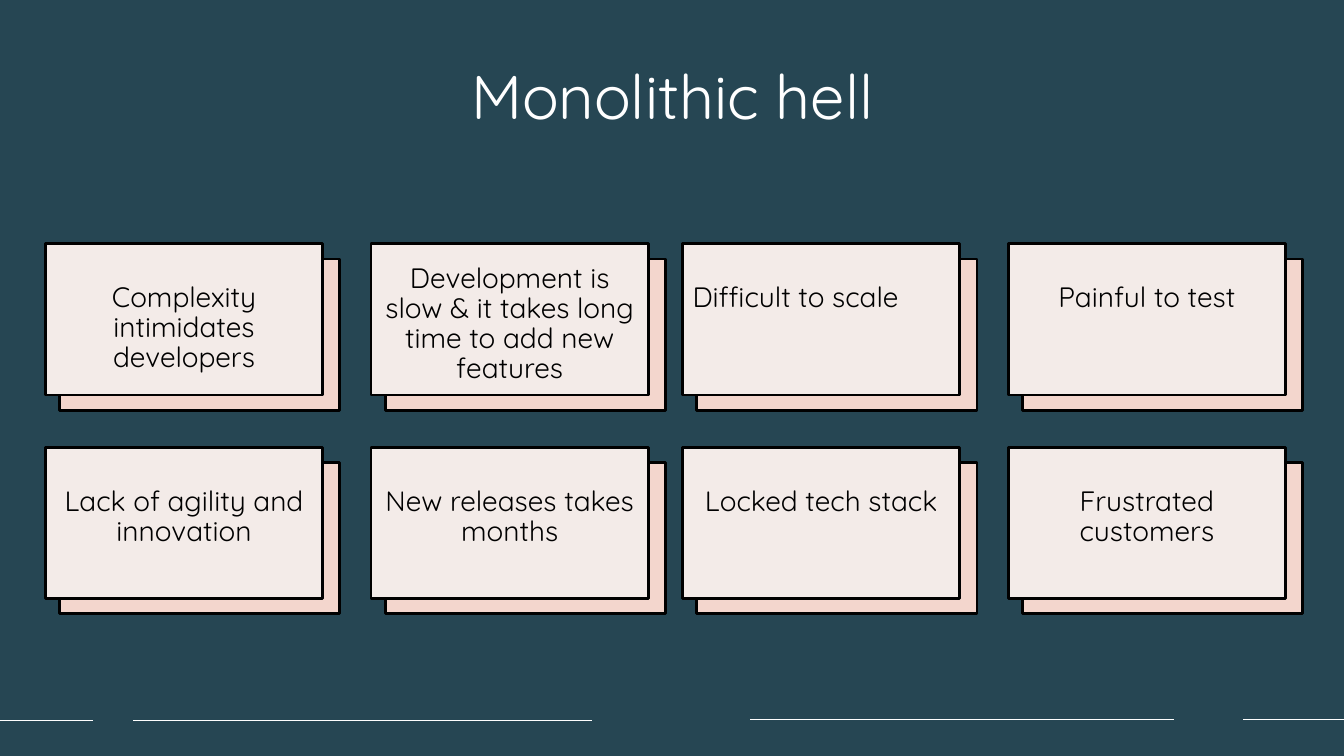
from pptx import Presentation
from pptx.dml.color import RGBColor
from pptx.enum.shapes import MSO_CONNECTOR, MSO_SHAPE
from pptx.enum.text import MSO_ANCHOR, PP_ALIGN
from pptx.oxml.ns import qn
from pptx.util import Inches, Pt
from lxml import etree

STRAIGHT, RECTANGLE = MSO_CONNECTOR.STRAIGHT, MSO_SHAPE.RECTANGLE
TOP, MIDDLE = MSO_ANCHOR.TOP, MSO_ANCHOR.MIDDLE
LEFT, CENTER = PP_ALIGN.LEFT, PP_ALIGN.CENTER

TITLE = "Monolithic hell"
PROBLEMS = [
    [("Complexity intimidates developers", CENTER, 0.39),
     ("Development is slow & it takes long time to add new features", CENTER, 0.2),
     ("Difficult to scale", LEFT, 0.39),
     ("Painful to test", CENTER, 0.39)],
    [("Lack of agility and innovation", CENTER, 0.39),
     ("New releases takes months", CENTER, 0.39),
     ("Locked tech stack", CENTER, 0.39),
     ("Frustrated customers", CENTER, 0.39)],
]
FOOTER_DASHES = [(0, 0.92, 7.15), (1.32, 5.87, 7.15),
                 (7.44, 11.64, 7.14), (12.33, 13.33, 7.14)]

THEME = {
    "font": "Quicksand", "title_size": 44, "card_size": 20,
    "background": "264653", "light": "FFFFFF", "dark": "000000",
    "card": "F3EBE8", "backing": "F3D6CD",
    "dash_width": 1, "border_width": 2,
}
COLUMN_LEFTS = [0.45, 3.68, 6.77, 10]
ROW_TOPS = [2.42, 4.44]
CARD_WIDTH, CARD_HEIGHT = 2.75, 1.5
BACKING_WIDTH = 2.78
BACKING_SHIFT = 0.14, 0.15


def color(name):
    return RGBColor.from_string(THEME[name])


def apply(target, values):
    for name, value in values.items():
        setattr(target, name, value)


def add_dash(page, start, end, height):
    dash = page.shapes.add_connector(
        STRAIGHT, Inches(start), Inches(height), Inches(end), Inches(height))
    dash.line.color.rgb = color("light")
    dash.line.width = Pt(THEME["dash_width"])
    etree.SubElement(dash._element.spPr, qn("a:effectLst"))


def add_panel(page, left, top, width, fill):
    panel = page.shapes.add_shape(
        RECTANGLE, Inches(left), Inches(top), Inches(width), Inches(CARD_HEIGHT))
    panel.shadow.inherit = False
    panel.fill.solid()
    panel.fill.fore_color.rgb = color(fill)
    panel.line.color.rgb = color("dark")
    panel.line.width = Pt(THEME["border_width"])
    return panel


def write(box, text, size, ink, anchor, alignment, spacing, inset):
    frame = box.text_frame
    apply(frame, {
        "word_wrap": True, "vertical_anchor": anchor,
        "margin_left": Inches(0.1), "margin_right": Inches(0.1),
        "margin_top": Inches(inset), "margin_bottom": Inches(0.05)})
    para = frame.paragraphs[0]
    apply(para, {"alignment": alignment, "line_spacing": spacing})
    span = para.add_run()
    span.text = text
    apply(span.font, {"name": THEME["font"], "size": Pt(THEME[size])})
    span.font.color.rgb = color(ink)


def main():
    deck = Presentation()
    apply(deck, {"slide_width": Inches(13.33), "slide_height": Inches(7.5)})
    page = deck.slides.add_slide(deck.slide_layouts[6])
    page.background.fill.solid()
    page.background.fill.fore_color.rgb = color("background")

    for start, end, height in FOOTER_DASHES:
        add_dash(page, start, end, height)

    title = page.shapes.add_textbox(
        Inches(1.25), Inches(0.56), Inches(10.84), Inches(0.86))
    write(title, TITLE, "title_size", "light", MIDDLE, CENTER, 0.9, 0.05)

    shift_x, shift_y = BACKING_SHIFT
    for top, problems in zip(ROW_TOPS, PROBLEMS):
        for left, (text, alignment, inset) in zip(COLUMN_LEFTS, problems):
            add_panel(page, left + shift_x, top + shift_y, BACKING_WIDTH, "backing")
            card = add_panel(page, left, top, CARD_WIDTH, "card")
            write(card, text, "card_size", "dark", TOP, alignment, 0.9, inset)

    deck.save("out.pptx")


if __name__ == "__main__":
    main()
